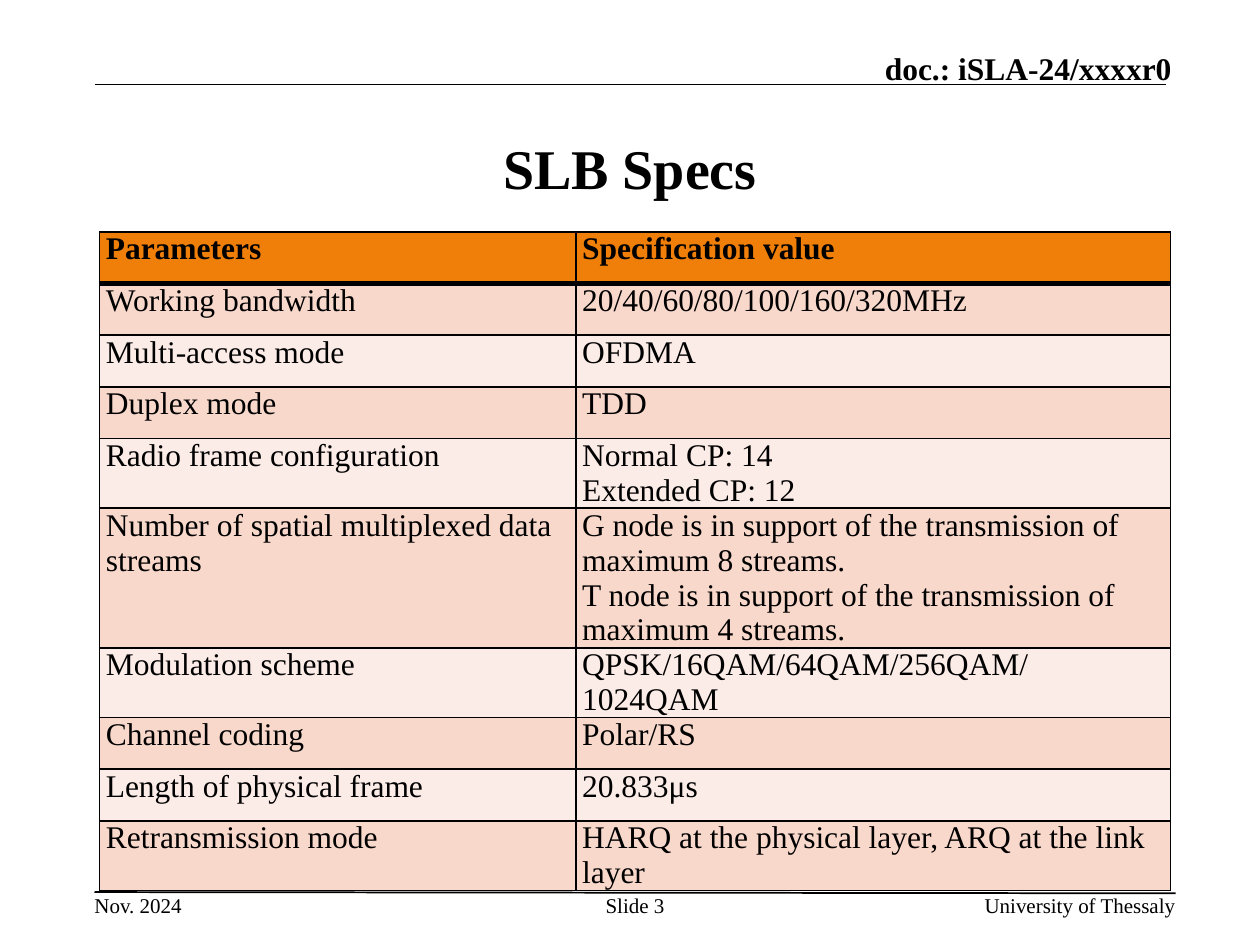
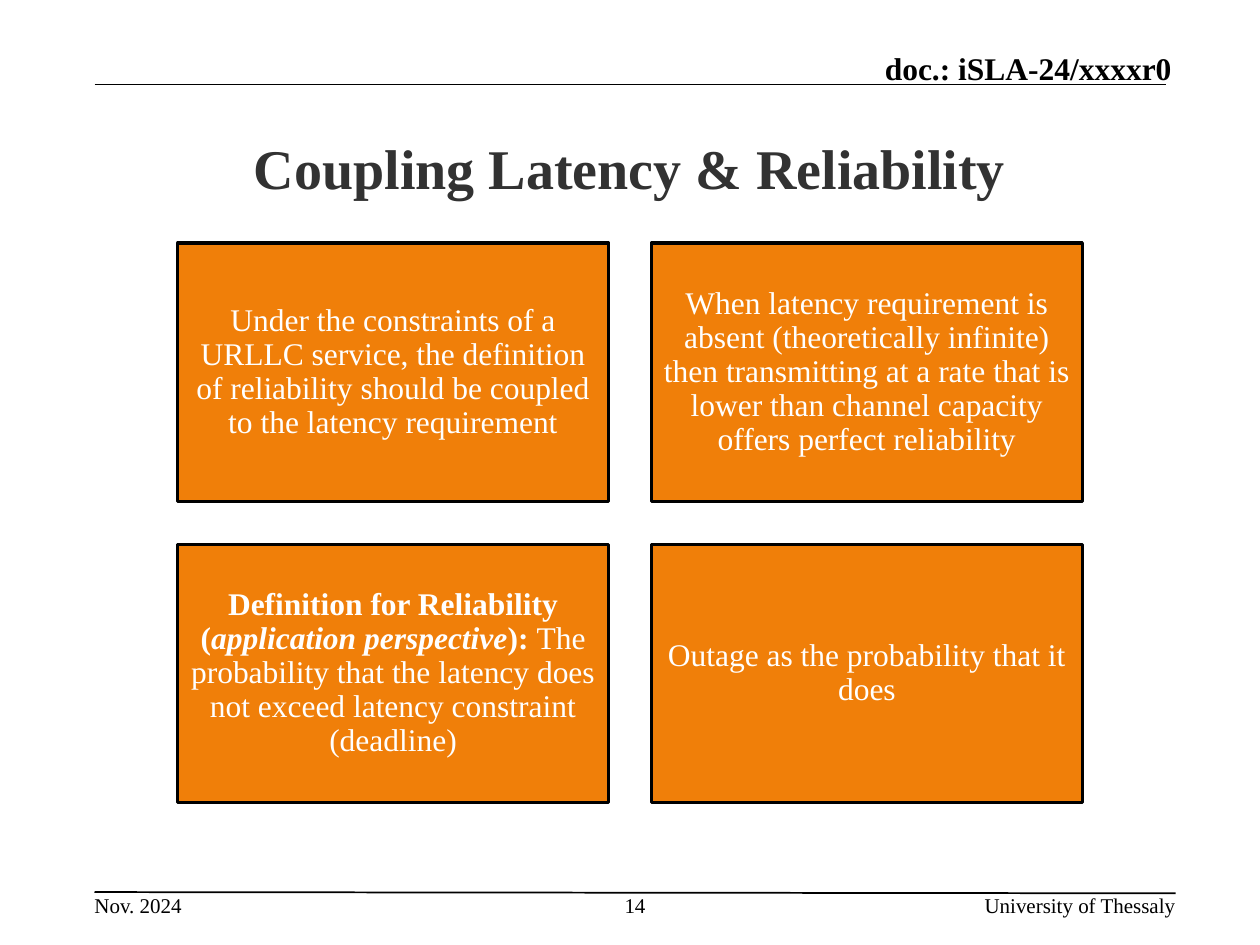
"""Build two slides on SLB specs and on coupling latency with reliability."""
import lxml.etree
import pptx
import pptx.dml.color
import pptx.enum.shapes
import pptx.enum.text
import pptx.oxml
import pptx.oxml.ns
import pptx.util

Inches = pptx.util.Inches
Pt = pptx.util.Pt
RGBColor = pptx.dml.color.RGBColor
ALIGN = pptx.enum.text.PP_ALIGN
ANCHOR = pptx.enum.text.MSO_ANCHOR
qn = pptx.oxml.ns.qn

BLACK = RGBColor(0x00, 0x00, 0x00)
WHITE = RGBColor(0xFF, 0xFF, 0xFF)
CHARCOAL = RGBColor(0x32, 0x32, 0x32)
ORANGE = RGBColor(0xF0, 0x7F, 0x09)
BANDS = [RGBColor(0xFC, 0xEC, 0xE7), RGBColor(0xF9, 0xD8, 0xCC)]
FONT = "Times New Roman"


def write(tf, paragraphs, size, color=BLACK, align=ALIGN.LEFT, anchor=ANCHOR.TOP,
          margins=(0, 0), bold=False, spacing=None):
    """Fill a text frame; a paragraph is a string or a list of (text, bold, italic)."""
    x, y = (Inches(m) for m in margins)
    frame = dict(word_wrap=True, vertical_anchor=anchor, margin_left=x,
                 margin_right=x, margin_top=y, margin_bottom=y,
                 auto_size=pptx.enum.text.MSO_AUTO_SIZE.NONE)
    for name, value in frame.items():
        setattr(tf, name, value)
    for i, runs in enumerate(paragraphs):
        p = tf.add_paragraph() if i else tf.paragraphs[0]
        p.alignment, p.line_spacing, p.space_before = align, spacing, Pt(0)
        if isinstance(runs, str):
            runs = [(runs, bold, False)]
        for text, strong, italic in runs:
            r = p.add_run()
            r.text = text
            r.font.color.rgb = color
            style = dict(name=FONT, size=Pt(size), bold=strong, italic=italic)
            for name, value in style.items():
                setattr(r.font, name, value)


def border(cell, widths):
    """Draw black cell borders; widths are points for left, right, top and bottom."""
    tcPr = cell._tc.get_or_add_tcPr()
    for i, (side, width) in enumerate(zip("LRTB", widths)):
        ln = pptx.oxml.parse_xml(
            f'<a:ln{side} {pptx.oxml.ns.nsdecls("a")} w="{Pt(width)}"><a:solidFill>'
            f'<a:srgbClr val="{BLACK}"/></a:solidFill></a:ln{side}>')
        tcPr.insert(i, ln)


prs = pptx.Presentation()
prs.slide_width, prs.slide_height = Inches(10), Inches(7.5)

rules = [(0.75, 0.67, 9.25, 0.67), (0.75, 7.08, 9.33, 7.09)]
slides = []
for title, color, number in [("SLB Specs", BLACK, "Slide 3"),
                             ("Coupling Latency & Reliability", CHARCOAL, "14")]:
    s = prs.slides.add_slide(prs.slide_layouts[5])
    slides.append(s)
    for ends in rules:
        line = s.shapes.add_connector(pptx.enum.shapes.MSO_CONNECTOR.STRAIGHT,
                                      *map(Inches, ends))
        line.line.color.rgb, line.line.width = BLACK, Pt(1)
        lxml.etree.SubElement(line._element.spPr, qn("a:effectLst"))

    labels = [
        ("doc.: iSLA-24/xxxxr0", (5.47, 0.39, 3.83, 0.3), 18, ALIGN.RIGHT, ANCHOR.BOTTOM, True),
        ("Nov. 2024", (0.75, 7.08, 0.8, 0.2), 12, ALIGN.LEFT, ANCHOR.TOP, False),
        (number, (4.75, 7.08, 0.58, 0.4), 12, ALIGN.CENTER, ANCHOR.TOP, False),
        ("University of Thessaly", (7.5, 7.08, 1.83, 0.21), 12, ALIGN.RIGHT, ANCHOR.TOP, False),
    ]
    for text, place, size, align, anchor, bold in labels:
        sp = s.shapes.add_textbox(*map(Inches, place))
        write(sp.text_frame, [text], size, align=align, anchor=anchor, bold=bold)

    sp = s.shapes.title
    sp.left, sp.top, sp.width, sp.height = map(Inches, (0.75, 0.75, 8.5, 1.16))
    write(sp.text_frame, [title], 32, color, ALIGN.CENTER, ANCHOR.MIDDLE,
          margins=(0.1, 0.05), bold=True)

specs = [
    ("Parameters", ["Specification value"]),
    ("Working bandwidth", ["20/40/60/80/100/160/320MHz"]),
    ("Multi-access mode", ["OFDMA"]),
    ("Duplex mode", ["TDD"]),
    ("Radio frame configuration", ["Normal CP: 14", "Extended CP: 12"]),
    ("Number of spatial multiplexed data streams",
     ["G node is in support of the transmission of maximum 8 streams.",
      "T node is in support of the transmission of maximum 4 streams."]),
    ("Modulation scheme", ["QPSK/16QAM/64QAM/256QAM/1024QAM"]),
    ("Channel coding", ["Polar/RS"]),
    ("Length of physical frame", ["20.833μs"]),
    ("Retransmission mode", ["HARQ at the physical layer, ARQ at the link layer"]),
]
row_height = 0.41
table = slides[0].shapes.add_table(
    len(specs), 2, Inches(0.79), Inches(1.84), Inches(8.5),
    Inches(row_height * len(specs))).table
table.horz_banding = False
for column, width in zip(table.columns, (3.78, 4.72)):
    column.width = Inches(width)
for row, (parameter, values) in enumerate(specs):
    header = row == 0
    for col, lines in enumerate([[parameter], values]):
        cell = table.cell(row, col)
        cell.fill.solid()
        cell.fill.fore_color.rgb = ORANGE if header else BANDS[row % 2]
        cell.margin_left = cell.margin_right = Inches(0.05)
        cell.margin_top = cell.margin_bottom = 0
        write(cell.text_frame, lines, 18, margins=(0.05, 0), bold=header)
        tcPr = cell._tc.get_or_add_tcPr()
        for name in ("marL", "marR"):
            tcPr.set(name, str(Inches(0.05)))
        border(cell, (1, 1, 3 if row == 1 else 1, 3 if header else 1))

boxes = [
    "Under the constraints of a URLLC service, the definition of reliability "
    "should be coupled to the latency requirement",
    "When latency requirement is absent (theoretically infinite) then transmitting "
    "at a rate that is lower than channel capacity offers perfect reliability",
    [("Definition for Reliability (", True, False),
     ("application perspective", True, True),
     ("): ", True, False),
     ("The probability that the latency does not exceed latency constraint (deadline)",
      False, False)],
    "Outage as the probability that it does",
]
box_width, box_height, gap = 3.42, 2.05, 0.34
for i, text in enumerate(boxes):
    row, col = divmod(i, 2)
    sp = slides[1].shapes.add_shape(
        pptx.enum.shapes.MSO_SHAPE.RECTANGLE,
        Inches(1.41 + col * (box_width + gap)), Inches(1.93 + row * (box_height + gap)),
        Inches(box_width), Inches(box_height))
    sp.shadow.inherit = False
    sp.fill.solid()
    sp.fill.fore_color.rgb = ORANGE
    sp.line.color.rgb, sp.line.width = BLACK, Pt(2)
    write(sp.text_frame, [text], 18, WHITE, ALIGN.CENTER, ANCHOR.MIDDLE,
          margins=(0.07, 0.07), spacing=0.9)

prs.save("out.pptx")
